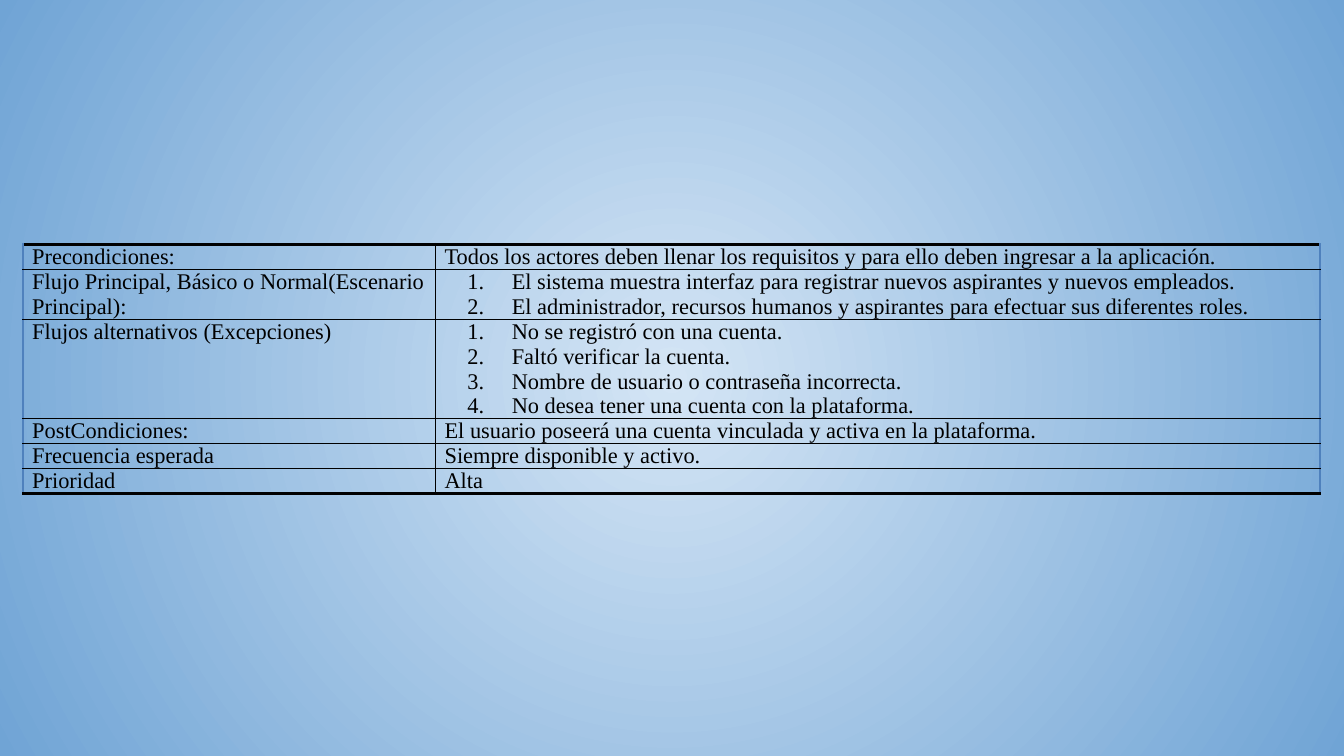
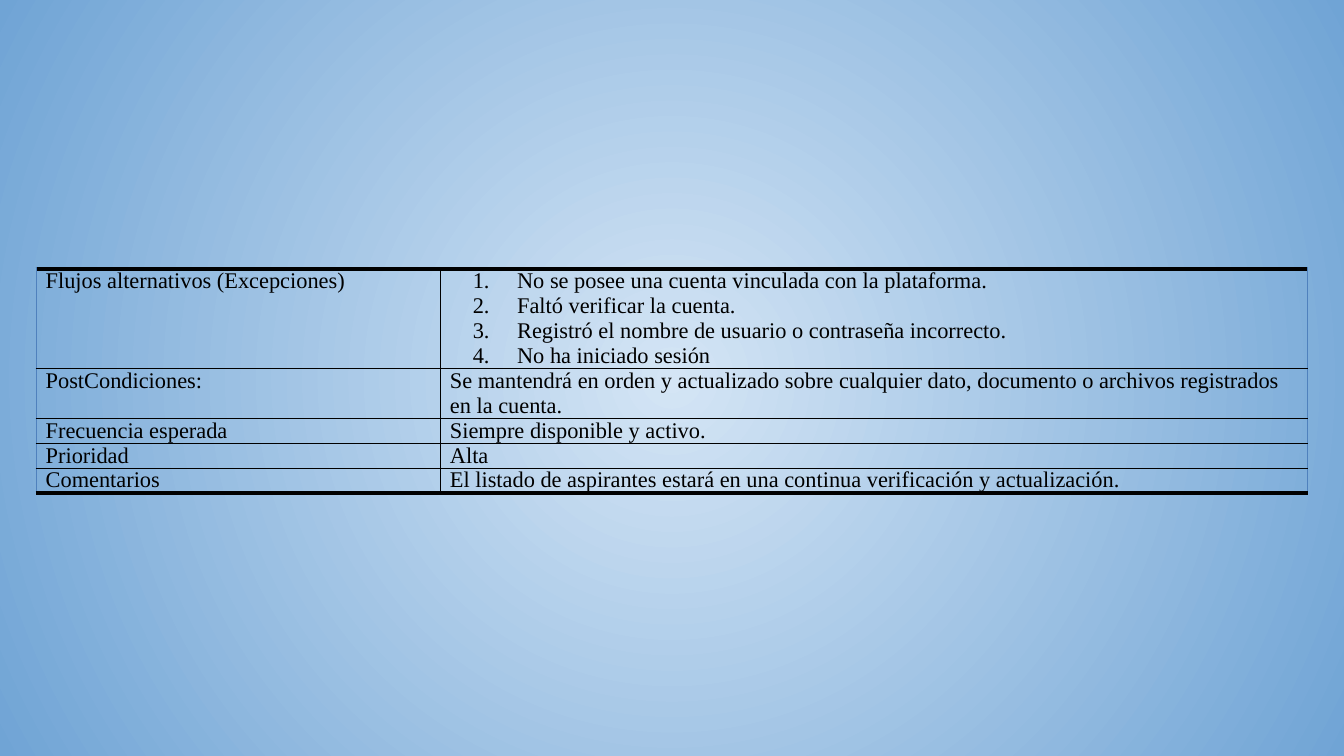
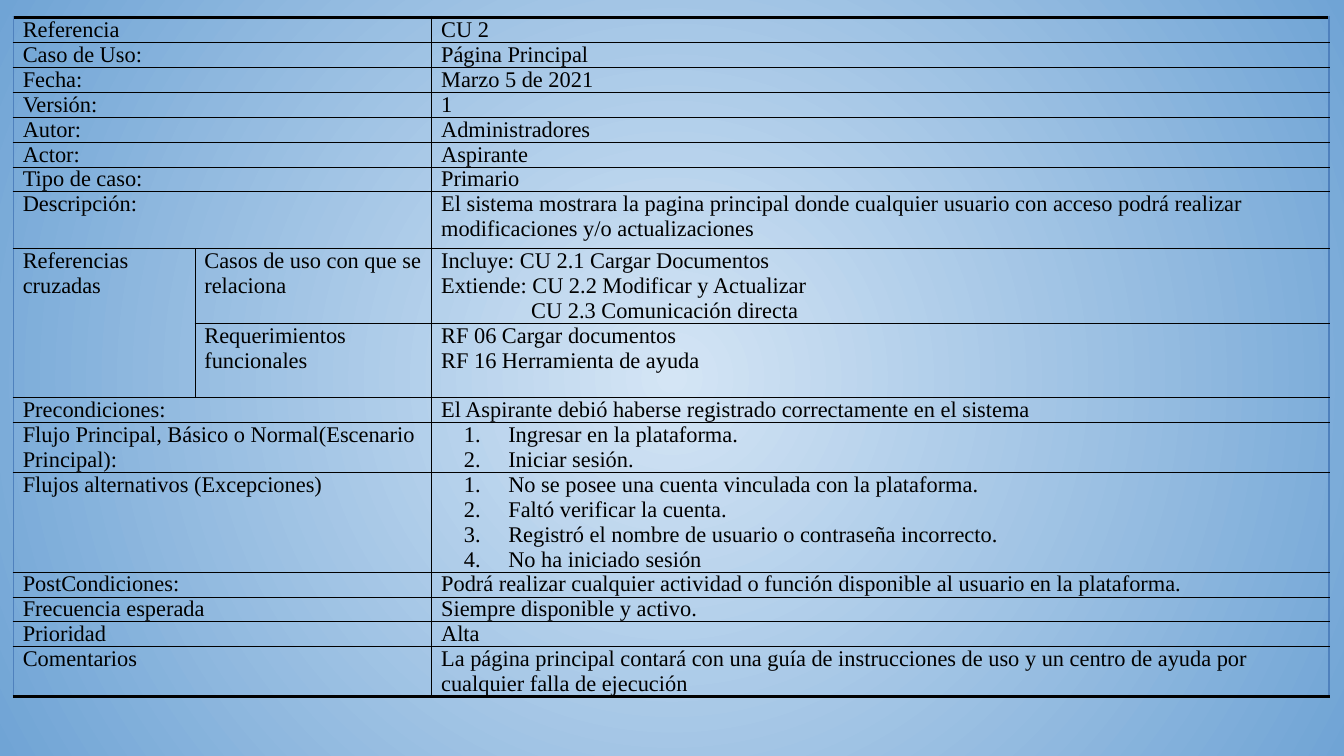
from dataclasses import dataclass

from lxml import etree
from pptx import Presentation
from pptx.dml.color import RGBColor
from pptx.oxml.ns import qn
from pptx.presentation import Presentation as Deck
from pptx.slide import Slide
from pptx.table import Table, _Cell
from pptx.util import Inches, Pt

WIDE = Inches(10)
HIGH = WIDE * 9 // 16
FONT = "Times New Roman"
SIZE = Pt(12)
LINE = Inches(0.185)
INSET = Inches(0.07)
HANG = 0.33
THIN, SIDE, THICK = Pt(0.5), Pt(1), Pt(2.25)
SHARES = (13.8, 18, 68.2)  # column widths, percent of the table
HUES = {"ink": "000000", "edge": "4F81BD", "glow": "D4E5F5", "rim": "70A4D5"}


@dataclass(frozen=True)
class Para:
    text: str
    left: float = 0
    listed: bool = False


@dataclass(frozen=True)
class Row:
    """One line of the form; sub splits the label in two columns."""
    label: str
    paras: tuple[Para, ...]
    lines: float = 1
    sub: str = ""


@dataclass(frozen=True)
class Form:
    """A table; left, top and width are percents of the slide."""
    left: float
    top: float
    width: float
    rows: tuple[Row, ...]


def plain(label: str, text: str, lines: float = 1) -> Row:
    return Row(label, (Para(text),), lines)


def steps(label: str, *texts: str) -> Row:
    return Row(label, tuple(Para(t, 0.5, True) for t in texts), len(texts))


MAIN = "Flujo Principal, Básico o Normal(Escenario Principal):"
OTHER = "Flujos alternativos (Excepciones)"
STATUS = (plain("Frecuencia esperada", "Siempre disponible y activo."),
          plain("Prioridad", "Alta"))
FAULTS = steps(OTHER,
               "No se posee una cuenta vinculada con la plataforma.",
               "Faltó verificar la cuenta.",
               "Registró el nombre de usuario o contraseña incorrecto.",
               "No ha iniciado sesión")

FORMS = (
    Form(1.7, 32.36, 96.5, (
        plain("Precondiciones:", "Todos los actores deben llenar los requisitos y para ello "
              "deben ingresar a la aplicación."),
        steps(MAIN,
              "El sistema muestra interfaz para registrar nuevos aspirantes y nuevos empleados.",
              "El administrador, recursos humanos y aspirantes para efectuar sus diferentes "
              "roles."),
        steps(OTHER,
              "No se registró con una cuenta.",
              "Faltó verificar la cuenta.",
              "Nombre de usuario o contraseña incorrecta.",
              "No desea tener una cuenta con la plataforma."),
        plain("PostCondiciones:",
              "El usuario poseerá una cuenta vinculada y activa en la plataforma."),
        *STATUS,
    )),
    Form(2.7, 35.56, 94.6, (
        FAULTS,
        plain("PostCondiciones:", "Se mantendrá en orden y actualizado sobre cualquier dato, "
              "documento o archivos registrados en la cuenta.", 2),
        *STATUS,
        plain("Comentarios",
              "El listado de aspirantes estará en una continua verificación y actualización."),
    )),
    Form(1, 2.31, 97.9, (
        plain("Referencia", "CU 2"),
        plain("Caso de Uso:", "Página Principal"),
        plain("Fecha:", "Marzo 5 de 2021"),
        plain("Versión:", "1"),
        plain("Autor:", "Administradores"),
        plain("Actor:", "Aspirante"),
        plain("Tipo de caso:", "Primario"),
        plain("Descripción:", "El sistema mostrara la pagina principal donde cualquier usuario "
              "con acceso podrá realizar modificaciones y/o actualizaciones", 2.28),
        Row("Referencias cruzadas", (
            Para("Incluye: CU 2.1 Cargar Documentos"),
            Para("Extiende: CU 2.2 Modificar y Actualizar"),
            Para("CU 2.3 Comunicación directa", 0.67),
        ), 3, "Casos de uso con que se relaciona"),
        Row("", (
            Para("RF 06 Cargar documentos"),
            Para("RF 16 Herramienta de ayuda"),
        ), 3, "Requerimientos funcionales"),
        plain("Precondiciones:",
              "El Aspirante debió haberse registrado correctamente en el sistema"),
        steps(MAIN, "Ingresar en la plataforma.", "Iniciar sesión."),
        FAULTS,
        plain("PostCondiciones:", "Podrá realizar cualquier actividad o función disponible al "
              "usuario en la plataforma."),
        *STATUS,
        plain("Comentarios", "La página principal contará con una guía de instrucciones de uso "
              "y un centro de ayuda por cualquier falla de ejecución", 2),
    )),
)


def add_hue(host: etree._Element, hue: str) -> None:
    etree.SubElement(host, qn("a:srgbClr"), val=HUES[hue])


def paint_back(deck: Deck) -> None:
    """Give the master a round glow that every slide inherits."""
    master = deck.slide_master
    fill = master.background.fill
    fill.gradient()
    for stop, hue, spot in zip(fill.gradient_stops, ("glow", "rim"), (0, 1)):
        stop.color.rgb = RGBColor.from_string(HUES[hue])
        stop.position = spot
    grad = master.element.find(".//" + qn("a:gradFill"))
    line = grad.find(qn("a:lin"))
    ring = etree.Element(qn("a:path"), path="circle")
    etree.SubElement(ring, qn("a:fillToRect"), l="50000", t="50000", r="50000", b="50000")
    grad.replace(line, ring)


def write(cell: _Cell, paras: tuple[Para, ...]) -> None:
    frame = cell.text_frame
    for i, item in enumerate(paras):
        para = frame.add_paragraph() if i else frame.paragraphs[0]
        if item.left:
            props = para._p.get_or_add_pPr()
            props.set("marL", str(Inches(item.left)))
            props.set("indent", str(-Inches(HANG) if item.listed else 0))
            if item.listed:
                add_hue(etree.SubElement(props, qn("a:buClr")), "ink")
                etree.SubElement(props, qn("a:buFont"), typeface="+mj-lt")
                etree.SubElement(props, qn("a:buAutoNum"), type="arabicPeriod")
        run = para.add_run()
        run.text = item.text
        run.font.name, run.font.size = FONT, SIZE
        run.font.color.rgb = RGBColor.from_string(HUES["ink"])


def style(cell: _Cell, first: bool, last: bool, col: int) -> None:
    """Set insets, rules and an empty fill according to the cell's place."""
    cell.margin_left = cell.margin_right = INSET
    cell.margin_top = cell.margin_bottom = 0
    outer, inner = ("edge", SIDE), ("ink", THIN)
    heavy = ("ink", THICK)
    rules = {
        "L": outer if col == 0 else inner,
        "R": outer if col == len(SHARES) - 1 else inner,
        "T": heavy if first else inner,
        "B": heavy if last else inner,
    }
    props = cell._tc.get_or_add_tcPr()
    for side, (hue, width) in rules.items():
        rule = etree.SubElement(props, qn(f"a:ln{side}"), w=str(width))
        add_hue(etree.SubElement(rule, qn("a:solidFill")), hue)
    cell.fill.background()


def fill_row(table: Table, r: int, row: Row) -> None:
    cells = [table.cell(r, c) for c in range(len(SHARES))]
    for c, cell in enumerate(cells):
        style(cell, r == 0, r == len(table.rows) - 1, c)
    if not row.sub:
        cells[0].merge(cells[1])
    elif not row.label:
        table.cell(r - 1, 0).merge(cells[0])
    if row.label:
        write(cells[0], (Para(row.label),))
    if row.sub:
        write(cells[1], (Para(row.sub),))
    write(cells[2], row.paras)


def draw(slide: Slide, form: Form) -> None:
    width = int(WIDE * form.width / 100)
    tall = int(LINE * sum(row.lines for row in form.rows))
    table = slide.shapes.add_table(
        len(form.rows), len(SHARES), int(WIDE * form.left / 100),
        int(HIGH * form.top / 100), width, tall).table
    table.first_row = table.horz_banding = False
    for col, share in zip(table.columns, SHARES):
        col.width = int(width * share / 100)
    for r, row in enumerate(form.rows):
        table.rows[r].height = int(LINE * row.lines)
        fill_row(table, r, row)


def main() -> None:
    deck = Presentation()
    deck.slide_width, deck.slide_height = WIDE, HIGH
    paint_back(deck)
    for form in FORMS:
        draw(deck.slides.add_slide(deck.slide_layouts[6]), form)
    deck.save("out.pptx")


if __name__ == "__main__":
    main()
